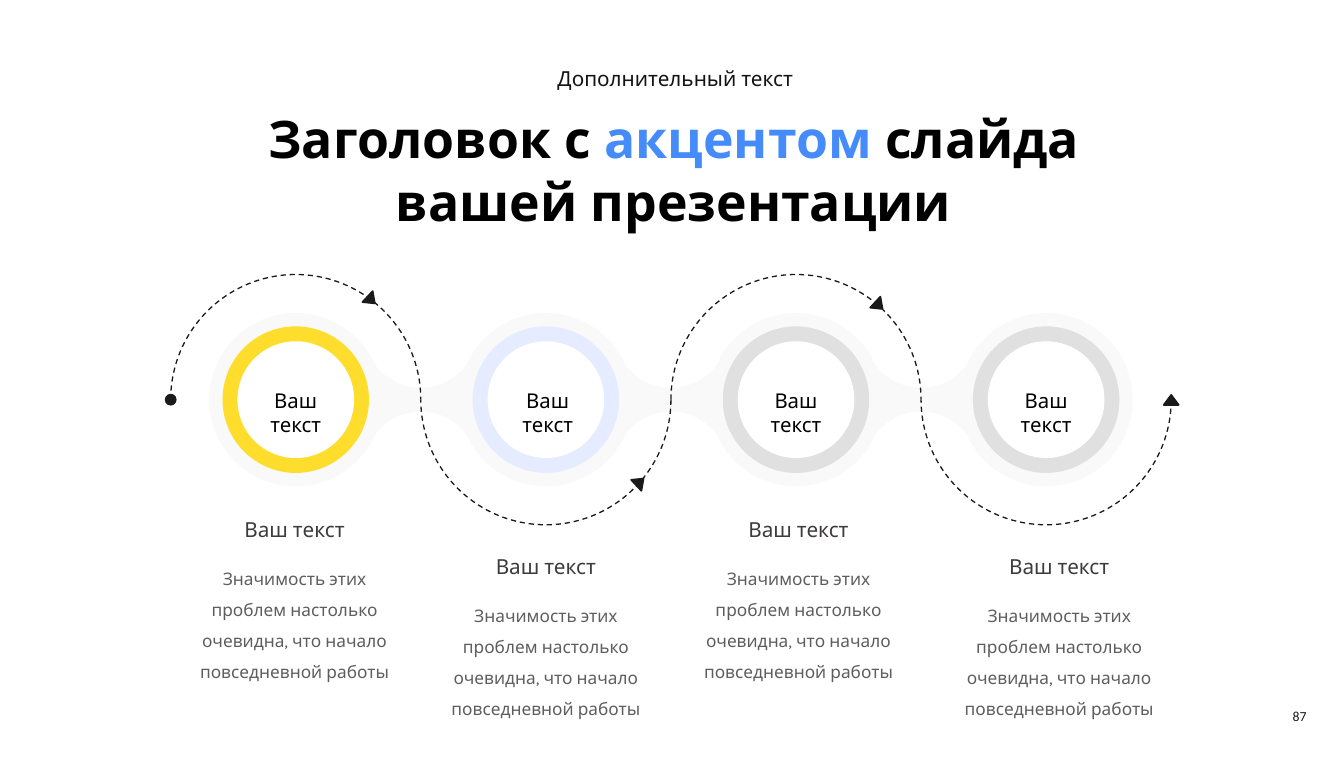
from pptx import Presentation
from pptx.dml.color import RGBColor
from pptx.enum.dml import MSO_LINE
from pptx.enum.shapes import MSO_SHAPE as Preset
from pptx.enum.text import MSO_ANCHOR as Anchor, MSO_AUTO_SIZE as AutoSize, PP_ALIGN as Align
from pptx.util import Cm, Inches, Pt

COLORS = {
    "halo": "F9F9F9", "yellow": "FFDD2C", "pale_blue": "E5ECFF", "grey": "E0E0E0",
    "white": "FFFFFF", "ink": "1A1A1A", "black": "000000", "accent": "458BF9",
    "kicker": "141414", "heading": "3D3B3B", "body": "5E5E5E", "number": "1A1919",
}
SLIDE_SIZE = Cm(55), Cm(31)
FONT = "Karla"
STEP = 4.03                       # one half-wave of the path
PATH_BOX = (2.75, 4.42, 4 * STEP, STEP)
TEXT_DROP = 0.59                  # lower position under the downward waves
DESCRIPTION = "Значимость этих проблем настолько очевидна, что начало повседневной работы"

# ring colour, shift of the label and of the caption from the ring's centre
STAGES = [
    ("yellow", 0, -0.02),
    ("pale_blue", 0.03, 0),
    ("grey", 0, 0.04),
    ("grey", 0, 0.21),
]
# centre of each arrowhead and its rotation
ARROWS = [(5.98, 4.83, 133), (10.31, 7.76, 47), (14.16, 4.92, 133), (18.87, 6.44, 0)]


def rgb(name):
    return RGBColor.from_string(COLORS[name])


def paint(shape, color):
    shape.shadow.inherit = False
    shape.fill.solid()
    shape.fill.fore_color.rgb = rgb(color)
    shape.line.fill.background()


def style(font, size, color, face=FONT, bold=False):
    font.name, font.size, font.bold = face, Pt(size), bold
    font.color.rgb = rgb(color)


def set_frame(frame, insets, grow=False, anchor=Anchor.TOP):
    frame.word_wrap = True
    frame.auto_size = AutoSize.SHAPE_TO_FIT_TEXT if grow else AutoSize.NONE
    frame.vertical_anchor = anchor
    frame.margin_left, frame.margin_top, frame.margin_right, frame.margin_bottom = map(Inches, insets)


def add_text(slide, box, text, size, color, face=FONT, align=Align.CENTER, spacing=None,
             insets=(0.1, 0.05, 0.1, 0.05), grow=True, anchor=Anchor.TOP):
    frame = slide.shapes.add_textbox(*map(Inches, box)).text_frame
    set_frame(frame, insets, grow, anchor)
    paragraph = frame.paragraphs[0]
    paragraph.text = text
    paragraph.alignment = align
    paragraph.line_spacing = spacing
    style(paragraph.runs[0].font, size, color, face)


def add_centred(slide, preset, center, size, color):
    (x, y), (width, height) = center, size
    shape = slide.shapes.add_shape(preset, *map(Inches, (x - width / 2, y - height / 2, width, height)))
    paint(shape, color)
    return shape


def add_header(slide, box):
    left, top, width, height = box
    add_text(slide, (left + 0.07, top, width - 0.12, 0.5), "Дополнительный текст", 24, "kicker",
             insets=(0.1, 0.05, 0, 0.05))
    title = slide.shapes.title
    title.left, title.top, title.width, title.height = map(
        Inches, (left, top + 0.65, width, height - 0.65))
    frame = title.text_frame
    set_frame(frame, (0.07, 0.06, 0, 0.05))
    lines = [
        [("Заголовок с ", "black"), ("акцентом", "accent"), (" слайда", "black")],
        [("вашей презентации", "black")],
    ]
    for index, line in enumerate(lines):
        paragraph = frame.add_paragraph() if index else frame.paragraphs[0]
        paragraph.alignment = Align.CENTER
        paragraph.space_before = Pt(index)
        for text, color in line:
            run = paragraph.add_run()
            run.text = text
            style(run.font, 60, color, bold=True)


def add_neck(slide, x, y):
    """Two mirrored flared halves that join neighbouring rings."""
    wide, narrow, reach, bend = 0.58, 0.19, 0.75, 0.51
    curve = []
    for index in range(13):
        t = index / 12
        across = reach * ((1 - t) ** 3 + 3 * (1 - t) ** 2 * t) + 3 * (1 - t) * t ** 2 * bend
        along = wide * ((1 - t) ** 3 + 3 * (1 - t) ** 2 * t) + narrow * (3 * (1 - t) * t ** 2 + t ** 3)
        curve.append((across, along))
    outline = curve + [(across, -along) for across, along in reversed(curve)]
    for side in (-1, 1):
        points = [(Inches(x + side * across), Inches(y + along)) for across, along in outline]
        builder = slide.shapes.build_freeform(*points[0])
        builder.add_line_segments(points[1:], close=True)
        paint(builder.convert_to_shape(), "halo")


def add_path(slide, box):
    """Dashed wave with its starting dot and arrowheads."""
    left, top, width, height = box
    for index in range(len(STAGES)):
        arc = slide.shapes.add_shape(
            Preset.ARC, *map(Inches, (left + index * STEP, top, STEP, height)))
        start, end = (0, 108) if index % 2 else (108, 0)
        arc.adjustments[0], arc.adjustments[1] = start, end
        arc.shadow.inherit = False
        arc.fill.background()
        arc.line.color.rgb = rgb("ink")
        arc.line.width = Pt(1.5)
        arc.line.dash_style = MSO_LINE.DASH
    add_centred(slide, Preset.OVAL, (left, top + height / 2), (0.19, 0.19), "ink")
    for x, y, rotation in ARROWS:
        arrow = add_centred(slide, Preset.ISOSCELES_TRIANGLE, (x, y), (0.24, 0.16), "ink")
        arrow.rotation = rotation
        arrow.line.color.rgb = rgb("ink")
        arrow.line.width = Pt(2)


def add_stage(slide, center, stage, drop):
    x, y = center
    ring, label_shift, caption_shift = stage
    for diameter, color in ((2.79, "halo"), (2.36, ring), (1.88, "white")):
        add_centred(slide, Preset.OVAL, center, (diameter, diameter), color)
    add_text(slide, (x + label_shift - 0.75, y - 0.24, 1.5, 0.5), "Ваш текст", 23.6, "black",
             insets=(0.05,) * 4)
    left = x + caption_shift - 1.82
    add_text(slide, (left, y + 1.77 + drop, 3.64, 0.56), "Ваш текст", 24, "heading", spacing=Pt(34))
    add_text(slide, (left, y + 2.5 + drop, 3.64, 1.82), DESCRIPTION, 20, "body", spacing=1.5, grow=False)


def add_process(slide, box):
    left, top, width, height = box
    middle = top + height / 2
    for index in range(1, len(STAGES)):
        add_neck(slide, left + index * STEP, middle)
    add_path(slide, box)
    for index, stage in enumerate(STAGES):
        add_stage(slide, (left + (index + 0.5) * STEP, middle), stage, TEXT_DROP * (index % 2))


def main():
    deck = Presentation()
    deck.slide_width, deck.slide_height = SLIDE_SIZE
    slide = deck.slides.add_slide(deck.slide_layouts[5])
    add_header(slide, (4.09, 1.01, 13.46, 2.78))
    add_process(slide, PATH_BOX)
    add_text(slide, (19.98, 11.29, 1.17, 0.47), "87", 16, "number", face="Calibri",
             align=Align.RIGHT, grow=False, anchor=Anchor.MIDDLE)
    deck.save("out.pptx")


if __name__ == "__main__":
    main()
